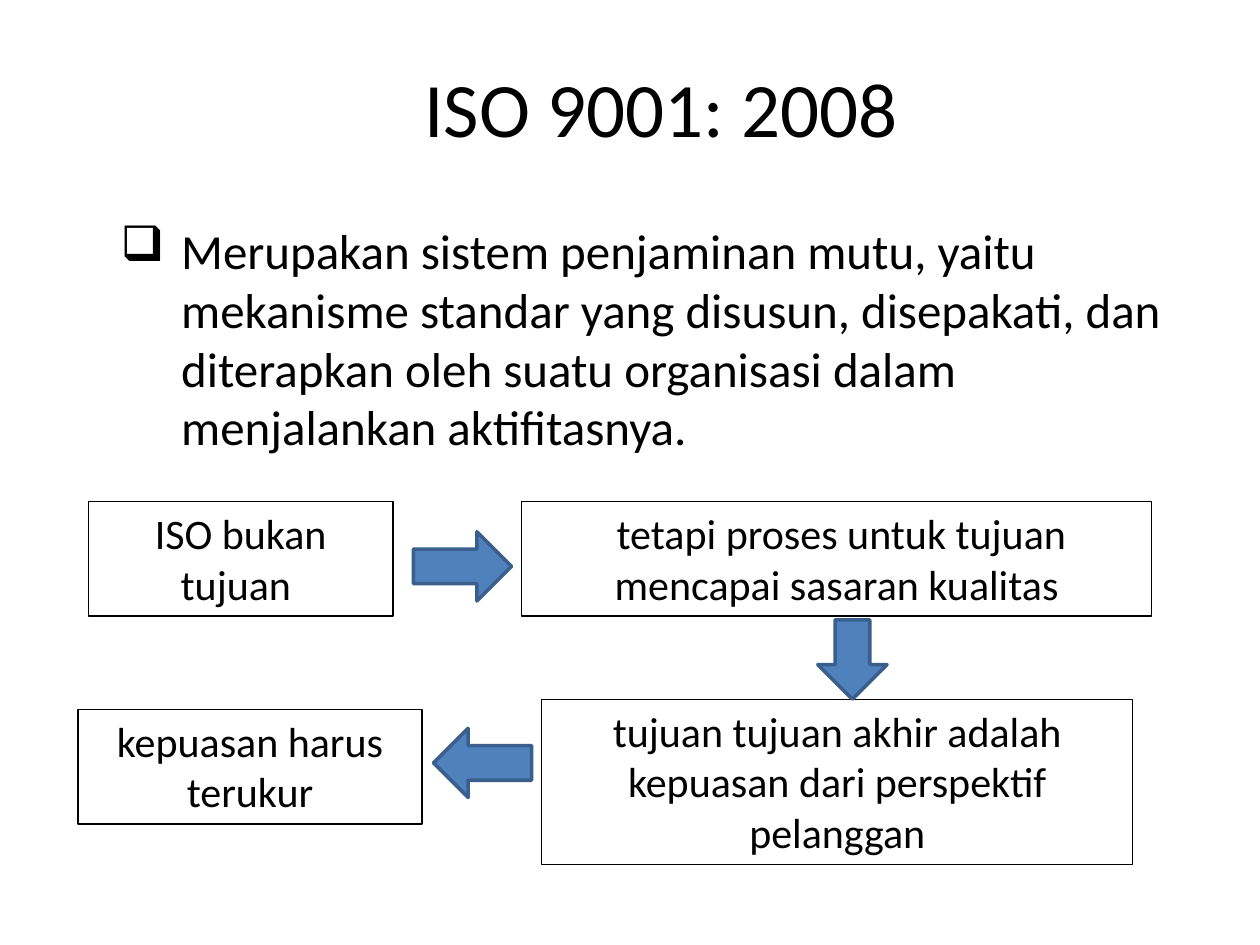
"""Build the ISO 9001: 2008 slide with its four-step flow."""
from lxml.etree import SubElement
from pptx import Presentation
from pptx.dml.color import RGBColor
from pptx.enum.shapes import MSO_SHAPE as Shape
from pptx.enum.text import MSO_ANCHOR as Anchor, PP_ALIGN as Align
from pptx.oxml.ns import qn
from pptx.util import Inches, Pt

BLACK = RGBColor(0x00, 0x00, 0x00)
BLUE = RGBColor(0x4F, 0x81, 0xBD)
DARK_BLUE = RGBColor(0x3A, 0x5F, 0x8C)


class FlowSlide:
    def __init__(self, slide, font="Calibri"):
        self.slide = slide
        self.font = font

    def set_words(self, frame, words, size, align, anchor):
        frame.word_wrap = True
        frame.vertical_anchor = anchor
        paragraph = frame.paragraphs[0]
        paragraph.text = words
        paragraph.alignment = align
        paragraph.font.name = self.font
        paragraph.font.size = Pt(size)
        paragraph.font.color.rgb = BLACK
        return paragraph

    def text(self, place, words, size, align=Align.LEFT, anchor=Anchor.TOP):
        box = self.slide.shapes.add_textbox(*map(Inches, place))
        return self.set_words(box.text_frame, words, size, align, anchor)

    def bullet(self, place, words, size, mark, indent):
        properties = self.text(place, words, size)._p.get_or_add_pPr()
        properties.set("marL", str(Inches(indent)))
        properties.set("indent", str(-Inches(indent)))
        bullet = SubElement(properties, qn("a:buChar"), char=mark)
        properties.insert_element_before(bullet, "a:tabLst", "a:defRPr", "a:extLst")

    def shape(self, kind, place, line_color, line_width):
        shape = self.slide.shapes.add_shape(kind, *map(Inches, place))
        shape.shadow.inherit = False
        shape.line.color.rgb = line_color
        shape.line.width = Pt(line_width)
        return shape

    def step(self, place, words):
        step = self.shape(Shape.RECTANGLE, place, BLACK, 0.75)
        step.fill.background()
        self.set_words(step.text_frame, words, 24, Align.CENTER, Anchor.TOP)

    def arrow(self, place, rotation=0):
        arrow = self.shape(Shape.RIGHT_ARROW, place, DARK_BLUE, 2)
        arrow.fill.solid()
        arrow.fill.fore_color.rgb = BLUE
        arrow.rotation = rotation


def main():
    deck = Presentation()
    deck.slide_width, deck.slide_height = Inches(10), Inches(7.5)
    flow = FlowSlide(deck.slides.add_slide(deck.slide_layouts[6]))

    flow.text((0.5, 0.39, 9.5, 0.92), "ISO 9001: 2008", 44, Align.CENTER, Anchor.MIDDLE)
    flow.bullet(
        (0.86, 1.7, 8.52, 2.13),
        "Merupakan sistem penjaminan mutu, yaitu mekanisme standar yang disusun, "
        "disepakati, dan diterapkan oleh suatu organisasi dalam menjalankan aktifitasnya.",
        28, "❑", 0.48,
    )

    steps = [
        ((0.7, 3.98, 2.42, 0.91), "ISO bukan tujuan "),
        ((4.14, 3.98, 5, 0.91), " tetapi proses untuk tujuan mencapai sasaran kualitas"),
        ((4.3, 5.55, 4.69, 1.31), "tujuan tujuan akhir adalah kepuasan dari perspektif pelanggan"),
        ((0.62, 5.63, 2.73, 0.91), "kepuasan harus terukur"),
    ]
    for place, words in steps:
        flow.step(place, words)

    flow.arrow((3.28, 4.22, 0.78, 0.55))
    flow.arrow((6.45, 4.96, 0.63, 0.55), rotation=90)
    flow.arrow((3.44, 5.78, 0.78, 0.55), rotation=180)

    deck.save("out.pptx")


if __name__ == "__main__":
    main()
